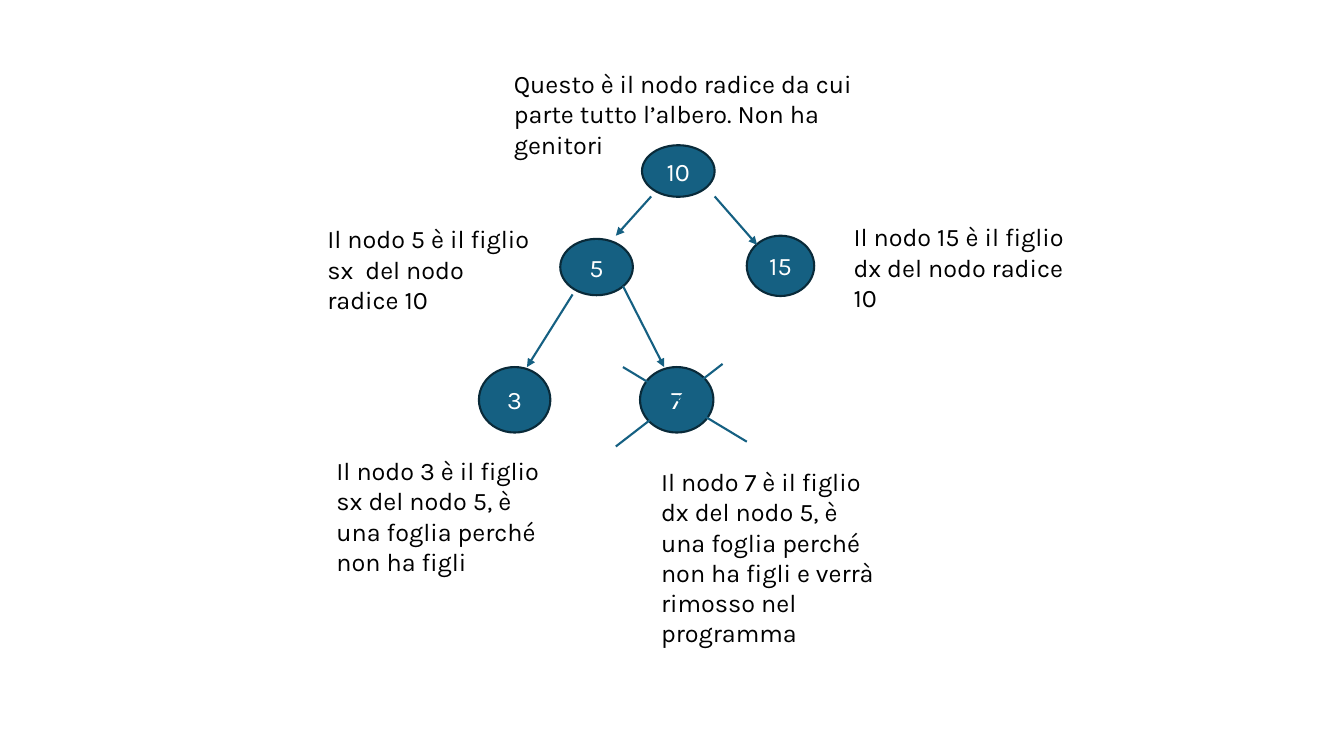
from lxml import etree
from pptx import Presentation
from pptx.dml.color import RGBColor
from pptx.enum import shapes, text
from pptx.oxml import ns
from pptx.util import Cm, Pt

BLUE = RGBColor(0x15, 0x60, 0x82)
NAVY = RGBColor(0x09, 0x2A, 0x39)
WHITE = RGBColor(0xFF, 0xFF, 0xFF)
BLACK = RGBColor(0x00, 0x00, 0x00)


def write(tf, words, color):
    tf.text = words
    tf.word_wrap = True
    font = tf.paragraphs[0].runs[0].font
    font.name = "Karla"
    font.size = Pt(18)
    font.color.rgb = color


def draw_line(slide, x1, y1, x2, y2, arrow):
    line = slide.shapes.add_connector(
        shapes.MSO_CONNECTOR.STRAIGHT, Cm(x1), Cm(y1), Cm(x2), Cm(y2))
    line.line.color.rgb = BLUE
    line.line.width = Pt(1.5)
    if arrow:
        ln = line.line._get_or_add_ln()
        etree.SubElement(ln, ns.qn("a:tailEnd"), type="triangle")
    etree.SubElement(line._element.spPr, ns.qn("a:effectLst"))


prs = Presentation()
prs.slide_width = Cm(33.87)
prs.slide_height = Cm(19.05)
slide = prs.slides.add_slide(prs.slide_layouts[6])

nodes = [
    ("10", 16.18, 3.66, 1.83, 1.3),
    ("15", 18.82, 5.94, 1.7, 1.52),
    ("5", 14.12, 6.02, 1.83, 1.42),
    ("3", 12.07, 9.25, 1.8, 1.65),
    ("7", 16.13, 9.25, 1.85, 1.65),
]
for value, x, y, w, h in nodes:
    sp = slide.shapes.add_shape(
        shapes.MSO_SHAPE.OVAL, Cm(x), Cm(y), Cm(w), Cm(h))
    sp.shadow.inherit = False
    sp.fill.solid()
    sp.fill.fore_color.rgb = BLUE
    sp.line.color.rgb = NAVY
    sp.line.width = Pt(1.5)
    tf = sp.text_frame
    write(tf, value, WHITE)
    tf.vertical_anchor = text.MSO_ANCHOR.MIDDLE
    tf.paragraphs[0].alignment = text.PP_ALIGN.CENTER

branches = [
    (16.41, 4.95, 15.52, 5.94),
    (18.01, 4.95, 19.08, 6.17),
    (14.43, 7.42, 13.28, 9.25),
    (15.7, 7.21, 16.74, 9.25),
]
for ends in branches:
    draw_line(slide, *ends, arrow=True)

notes = [
    ("Questo è il nodo radice da cui parte tutto l’albero. Non ha genitori",
     12.7, 1.6, 9.73, 2.57),
    ("Il nodo 5 è il figlio sx  del nodo radice 10", 8, 5.51, 5.61, 2.57),
    ("Il nodo 15 è il figlio dx del nodo radice 10", 21.26, 5.46, 5.84, 2.57),
    ("Il nodo 3 è il figlio sx del nodo 5, è una foglia perché non ha figli",
     8.23, 11.35, 5.92, 3.33),
    ("Il nodo 7 è il figlio dx del nodo 5, è una foglia perché non ha figli "
     "e verrà rimosso nel programma", 16.41, 11.63, 6.02, 4.88),
]
for words, x, y, w, h in notes:
    box = slide.shapes.add_textbox(Cm(x), Cm(y), Cm(w), Cm(h))
    write(box.text_frame, words, BLACK)
    box.text_frame.auto_size = text.MSO_AUTO_SIZE.SHAPE_TO_FIT_TEXT

cross = [(15.7, 9.25, 18.82, 11.13), (15.52, 11.25, 18.21, 9.17)]
for ends in cross:
    draw_line(slide, *ends, arrow=False)

prs.save("out.pptx")
